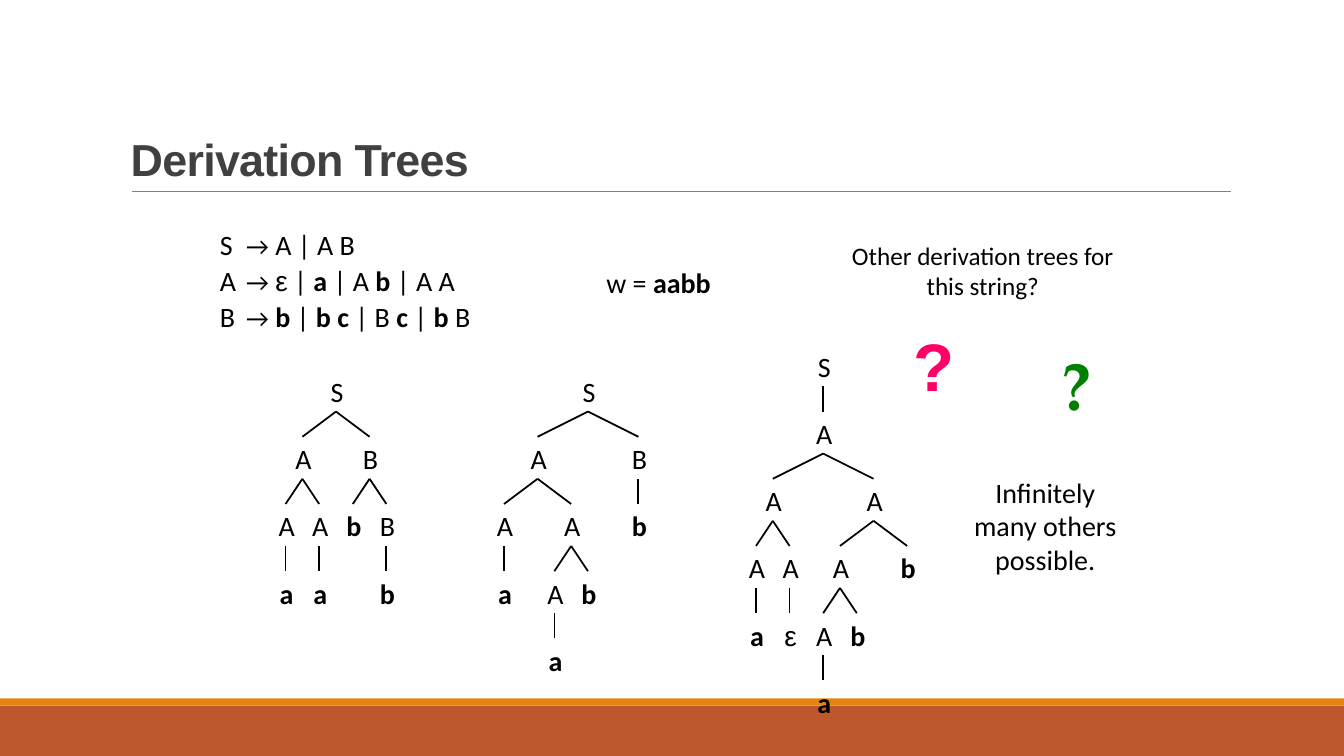
from itertools import groupby
from lxml.etree import SubElement as Sub
from pptx import Presentation
from pptx.dml.color import RGBColor
from pptx.enum.shapes import MSO_CONNECTOR as Line, MSO_SHAPE as Shape
from pptx.enum.text import MSO_ANCHOR as Anchor, PP_ALIGN as Align
from pptx.oxml.ns import qn
from pptx.util import Pt

PX = 9525
UNIT, TIER, STEM = 16, 64, 40
BLACK = "000000"

RULES = ["S\t→ A | A B", "A\t→ ε | a | A b | A A", "B\t→ b | b c | B c | b B"]

LEFT = ("S", 0, [
    ("A", -2, [("A", -1, [("a", 0, [])]), ("A", 1, [("a", 0, [])])]),
    ("B", 2, [("b", -1, []), ("B", 1, [("b", 0, [])])])])
MID = ("S", 0, [
    ("A", -3, [
        ("A", -2, [("a", 0, [])]),
        ("A", 2, [("A", -1, [("a", 0, [])]), ("b", 1, [])])]),
    ("B", 3, [("b", 0, [])])])
RIGHT = ("S", 0, [("A", 0, [
    ("A", -3, [("A", -1, [("a", 0, [])]), ("A", 1, [("ε", 0, [])])]),
    ("A", 3, [
        ("A", -2, [("A", -1, [("a", 0, [])]), ("b", 1, [])]),
        ("b", 2, [])])])])


def emu(*nums):
    return [round(n * PX) for n in nums]


def hue(code):
    return RGBColor.from_string(code)


def style(run, size, font="Calibri", code=BLACK, bold=False):
    run.font.size = Pt(size)
    run.font.name = font
    run.font.bold = bold
    run.font.color.rgb = hue(code)


def frame(shapes, box, anchor=Anchor.TOP):
    text = shapes.add_textbox(*emu(*box)).text_frame
    text.word_wrap = True
    text.vertical_anchor = anchor
    return text


def label(shapes, box, words, size, align=Align.CENTER, **look):
    text = frame(shapes, box, look.pop("anchor", Anchor.TOP))
    text.text = words
    para = text.paragraphs[0]
    para.alignment = align
    style(para.runs[0], size, **look)
    return para


def kind(char):
    if char in "abc":
        return 20, "Calibri", True
    if char == "ε":
        return 20, "Arial", False
    return (18 if char == "→" else 20), "Calibri", False


def symbols(para, words):
    for (size, font, bold), chars in groupby(words, kind):
        run = para.add_run()
        run.text = "".join(chars)
        style(run, size, font, bold=bold)


def stroke(shapes, ends, code=BLACK, width=1.25):
    line = shapes.add_connector(Line.STRAIGHT, *emu(*ends))
    line.line.color.rgb = hue(code)
    line.line.width = Pt(width)
    Sub(line._element.spPr, qn("a:effectLst"))


def band(shapes, box, code):
    bar = shapes.add_shape(Shape.RECTANGLE, *emu(*box))
    bar.shadow.inherit = False
    bar.fill.solid()
    bar.fill.fore_color.rgb = hue(code)
    bar.line.fill.background()


def footer(shapes, x, y, w, h):
    band(shapes, (x, y + 7, w, h - 7), "BD582C")
    band(shapes, (x, y, w, 7), "E48312")


def header(shapes, x, y, w, h):
    stroke(shapes, (x + 11, y + h, x + w + 1, y + h), "808080", 0.5)
    para = label(shapes, (x, y, w, h), "Derivation Trees", 32, Align.LEFT,
                 font="Arial", code="404040", bold=True, anchor=Anchor.BOTTOM)
    para.line_spacing = 0.85
    para.runs[0]._r.get_or_add_rPr().set("spc", "-50")


def grammar(shapes, x, y, w, h):
    text = frame(shapes, (x, y, w, h))
    for row, rule in enumerate(RULES):
        para = text.add_paragraph() if row else text.paragraphs[0]
        tabs = Sub(para._p.get_or_add_pPr(), qn("a:tabLst"))
        Sub(tabs, qn("a:tab"), pos=str(25 * PX), algn="l")
        para.line_spacing = 0.9
        if row:
            para.space_before = Pt(4)
        symbols(para, rule)


def prompt(shapes, x, y, w, h):
    word = frame(shapes, (x, y + 24, 142, 42))
    symbols(word.paragraphs[0], "w = aabb")
    label(shapes, (x + 216, y, w - 216, 68),
          "Other derivation trees for this string?", 18)
    label(shapes, (x + 292, y + 80, 59, 86), "?", 48,
          font="Arial", code="FF0066", bold=True)
    label(shapes, (x + 433, y + 98, 48, 86), "?", 48,
          font="TeX Gyre Pagella", code="008000", bold=True)
    label(shapes, (x + 344, y + h - 139, 167, 139),
          "Infinitely many others possible.", 20)


def branch(shapes, node, x, y):
    name, _, kids = node
    para = frame(shapes, (x - 18, y, 38, 42)).paragraphs[0]
    para.alignment = Align.CENTER
    symbols(para, name)
    for kid in kids:
        end = x + kid[1] * UNIT
        stroke(shapes, (x, y + STEM, end, y + TIER))
        branch(shapes, kid, end, y + TIER)


def tree(shapes, root, x, y):
    branch(shapes.add_group_shape().shapes, root, x, y)


def main():
    deck = Presentation()
    deck.slide_width, deck.slide_height = emu(1280, 720)
    shapes = deck.slides.add_slide(deck.slide_layouts[6]).shapes
    footer(shapes, 0, 665, 1280, 55)
    header(shapes, 115, 30, 1056, 152)
    for root, x, y in [(MID, 560, 352), (RIGHT, 784, 328), (LEFT, 320, 352)]:
        tree(shapes, root, x, y)
    grammar(shapes, 200, 216, 299, 108)
    prompt(shapes, 568, 224, 520, 363)
    deck.save("out.pptx")


if __name__ == "__main__":
    main()
